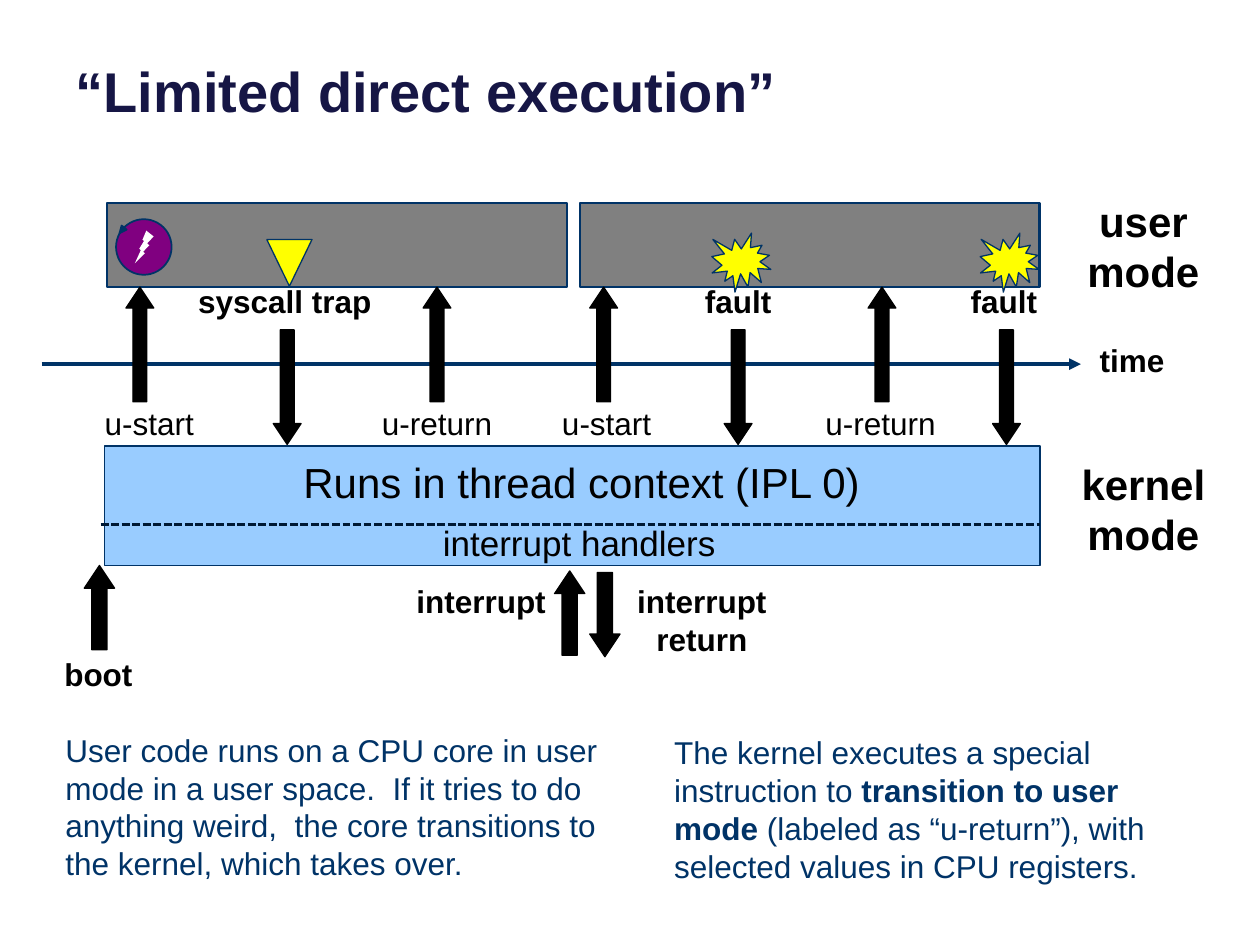
from lxml import etree
from pptx import Presentation
from pptx.dml.color import RGBColor
from pptx.enum import dml, shapes, text
from pptx.oxml import ns
from pptx.util import Cm, Pt

FONT = "Arial"
BLACK = RGBColor(0x00, 0x00, 0x00)
WHITE = RGBColor(0xFF, 0xFF, 0xFF)
NAVY = RGBColor(0x00, 0x33, 0x67)
DARK_NAVY = RGBColor(0x00, 0x19, 0x34)
TITLE_INK = RGBColor(0x16, 0x16, 0x45)
GRAY = RGBColor(0x80, 0x80, 0x80)
SKY = RGBColor(0x99, 0xCC, 0xFF)
YELLOW = RGBColor(0xFF, 0xFF, 0x00)
PURPLE = RGBColor(0x80, 0x00, 0x80)
KIND = shapes.MSO_SHAPE


def cm(*lengths):
    return [Cm(length) for length in lengths]


def style_run(run, size, color, bold):
    run.font.name = FONT
    run.font.size = Pt(size)
    run.font.bold = bold
    run.font.color.rgb = color


def add_figure(parent, kind, box, fill, line=NAVY, weight=0.75):
    figure = parent.shapes.add_shape(kind, *cm(*box))
    figure.shadow.inherit = False
    figure.fill.solid()
    figure.fill.fore_color.rgb = fill
    if line is None:
        figure.line.fill.background()
    else:
        figure.line.color.rgb = line
        figure.line.width = Pt(weight)
    return figure


def add_arrow(slide, kind, box):
    arrow = add_figure(slide, kind, box, BLACK, BLACK)
    arrow.adjustments[0] = 0.5
    arrow.adjustments[1] = 0.75


def add_line(slide, x1, x2, y, color, weight, dash=None, arrowhead=False):
    """Draw a horizontal line."""
    rule = slide.shapes.add_connector(shapes.MSO_CONNECTOR.STRAIGHT, *cm(x1, y, x2, y))
    rule.line.color.rgb = color
    rule.line.width = Pt(weight)
    if dash:
        rule.line.dash_style = dash
    if arrowhead:
        etree.SubElement(rule.line._get_or_add_ln(), ns.qn("a:tailEnd"), type="triangle")
    etree.SubElement(rule._element.spPr, ns.qn("a:effectLst"))


def add_label(slide, box, wording, size=18, bold=False):
    frame = slide.shapes.add_textbox(*cm(*box)).text_frame
    frame.word_wrap = True
    frame.text = wording
    for paragraph in frame.paragraphs:
        paragraph.alignment = text.PP_ALIGN.CENTER
        for run in paragraph.runs:
            style_run(run, size, BLACK, bold)


def add_title(slide, box, wording):
    title = slide.shapes.title
    title.left, title.top, title.width, title.height = cm(*box)
    frame = title.text_frame
    frame.text = wording
    frame.vertical_anchor = text.MSO_ANCHOR.BOTTOM
    frame.paragraphs[0].alignment = text.PP_ALIGN.LEFT
    style_run(frame.paragraphs[0].runs[0], 32, TITLE_INK, True)


def add_user_mode(slide, box):
    left, top, width, height = box
    gap = 0.26
    bar_width = (width - gap) / 2
    for i in range(2):
        bar = (left + i * (bar_width + gap), top, bar_width, height)
        add_figure(slide, KIND.RECTANGLE, bar, GRAY, weight=1.5)
    add_label(slide, (left + 18.54, top - 0.28, 4.7, 2.31), "user mode", 24, True)


def add_kernel_mode(slide, box):
    left, top, width, height = box
    add_figure(slide, KIND.FLOWCHART_PROCESS, box, SKY, weight=1)
    add_line(slide, left - 0.08, left + width, top + 1.58, DARK_NAVY, 1.5,
             dash=dml.MSO_LINE.SQUARE_DOT)
    add_label(slide, (left + 2.54, top + 0.08, 14.15, 1.3),
              "Runs in thread context (IPL 0)", 24)
    add_label(slide, (left + 1.95, top + 1.4, 15.24, 1.12), "interrupt handlers", 20)
    add_label(slide, (left + 18.59, top + 0.13, 4.7, 2.31), "kernel mode", 24, True)


def add_transitions(slide, box):
    """Draw the time axis and the arrows between user and kernel mode."""
    left, top, width, height = box
    add_line(slide, left, left + width, top + 1.55, NAVY, 2.25, arrowhead=True)
    add_label(slide, (left + 19.63, top + 0.97, 4.7, 1.04), "time", bold=True)
    # wording, enters the kernel, arrow centre, label centre, label width
    transitions = [
        ("u-start", False, 1.98, 2.17, 3.89),
        ("syscall trap", True, 4.95, 4.9, 4.72),
        ("u-return", False, 7.97, 7.97, 4.72),
        ("u-start", False, 11.33, 11.39, 3.89),
        ("fault", True, 14.04, 14.04, 3.1),
        ("u-return", False, 16.94, 16.91, 4.72),
        ("fault", True, 19.45, 19.4, 3.1),
    ]
    arrow_width, arrow_height = 0.56, 2.31
    for wording, enters_kernel, arrow_x, label_x, label_width in transitions:
        kind = KIND.DOWN_ARROW if enters_kernel else KIND.UP_ARROW
        arrow_top = top + (height - arrow_height if enters_kernel else 0)
        label_top = top + (-0.23 if enters_kernel else 2.24)
        add_arrow(slide, kind,
                  (left + arrow_x - arrow_width / 2, arrow_top, arrow_width, arrow_height))
        add_label(slide, (left + label_x - label_width / 2, label_top, label_width, 1.04),
                  wording, bold=enters_kernel)


def add_thread_icon(slide, box):
    left, top, size, _ = box
    icon = slide.shapes.add_group_shape()
    add_figure(icon, KIND.OVAL, box, PURPLE, weight=1)
    bolt = add_figure(icon, KIND.LIGHTNING_BOLT,
                      (left + 0.38, top + 0.23, 0.38, 0.66), WHITE, None)
    bolt._element.spPr.xfrm.set("flipH", "1")
    tip = add_figure(icon, KIND.ISOSCELES_TRIANGLE,
                     (left + 0.05, top + 0.15, 0.13, 0.15), NAVY, weight=1)
    tip.rotation = 219


def add_user_events(slide, box):
    """Mark the thread, the trap and the faults on the user mode bars."""
    left, top, _, _ = box
    for fault_x in (12.19, 17.6):
        add_figure(slide, KIND.EXPLOSION1, (left + fault_x, top + 0.61, 1.19, 1.19), YELLOW)
    add_figure(slide, KIND.FLOWCHART_MERGE, (left + 3.22, top + 0.74, 0.91, 0.94), YELLOW)
    add_thread_icon(slide, (left + 0.18, top + 0.33, 1.12, 1.12))


def add_kernel_entries(slide, box):
    """Draw boot, interrupt and interrupt return below the kernel."""
    left, top, _, _ = box
    for kind, dx, dy in [(KIND.UP_ARROW, 1.34, 0),
                         (KIND.UP_ARROW, 10.82, 0.11),
                         (KIND.DOWN_ARROW, 11.53, 0.14)]:
        add_arrow(slide, kind, (left + dx, top + dy, 0.61, 1.7))
    for wording, dx, dy, width, height in [("boot", 0, 1.68, 3.25, 1.04),
                                           ("interrupt", 6.98, 0.21, 4.72, 1.04),
                                           ("interrupt\nreturn", 11.43, 0.21, 4.72, 1.8)]:
        add_label(slide, (left + dx, top + dy, width, height), wording, bold=True)


def add_note(slide, box, *pieces):
    """Write a paragraph whose every second piece is bold."""
    frame = slide.shapes.add_textbox(*cm(*box)).text_frame
    frame.word_wrap = True
    for i, piece in enumerate(pieces):
        run = frame.paragraphs[0].add_run()
        run.text = piece
        style_run(run, 18, NAVY, i % 2 == 1)


def main():
    deck = Presentation()
    deck.slide_width, deck.slide_height = cm(25.4, 19.05)
    slide = deck.slides.add_slide(deck.slide_layouts.get_by_name("Title Only"))
    user_box = (2.16, 4.09, 18.8, 1.7)
    add_title(slide, (1.27, -1.7, 22.86, 4.32), "“Limited direct execution”")
    add_user_mode(slide, user_box)
    add_kernel_mode(slide, (2.11, 8.99, 18.85, 2.41))
    add_transitions(slide, (0.84, 5.79, 20.95, 3.17))
    add_user_events(slide, user_box)
    add_kernel_entries(slide, (0.36, 11.4, 16.15, 2.72))
    add_note(slide, (1.07, 14.61, 11.43, 3.35),
             "User code runs on a CPU core in user mode in a user space.  If it tries to do "
             "anything weird,  the core transitions to the kernel, which takes over.")
    add_note(slide, (13.34, 14.66, 11.2, 3.35),
             "The kernel executes a special instruction to ", "transition to user mode ",
             "(labeled as “u-return”), with selected values in CPU registers.")
    deck.save("out.pptx")


if __name__ == "__main__":
    main()
